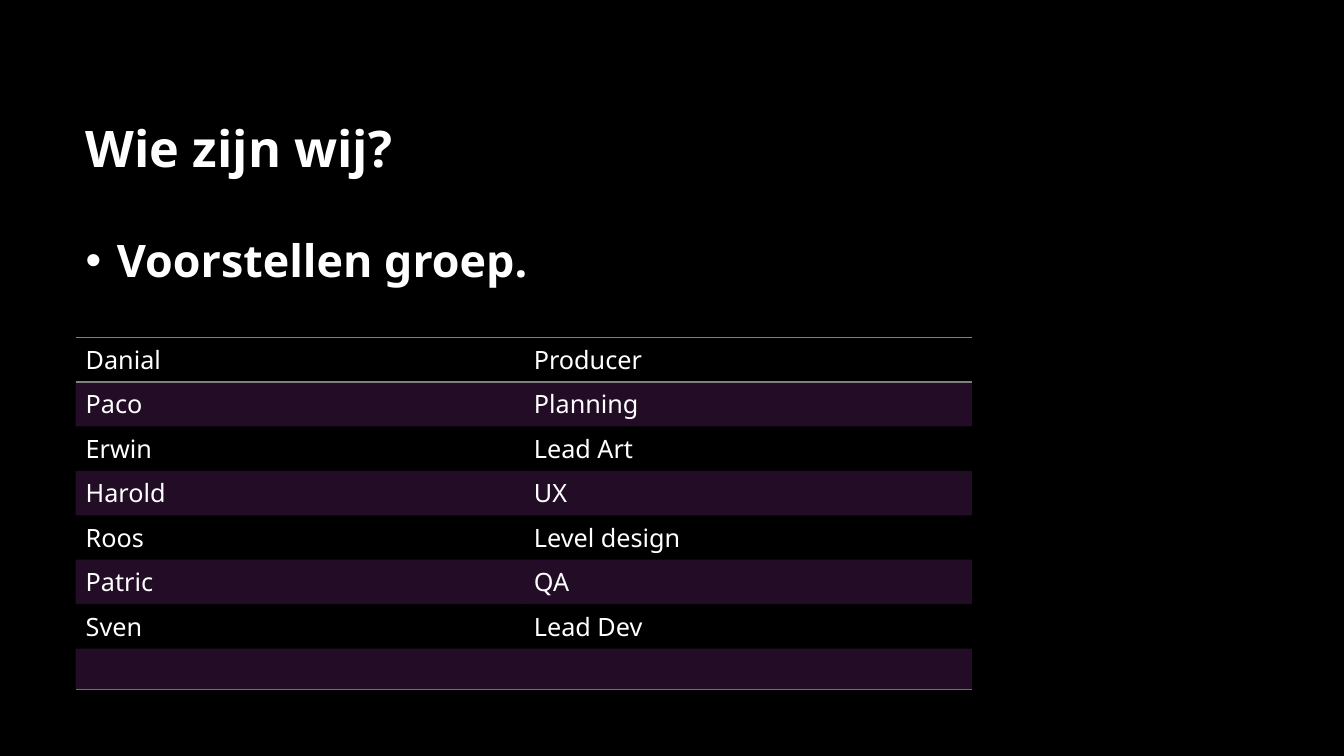
import dataclasses
import typing

import lxml.etree
import pptx
import pptx.dml.color
import pptx.enum.text
import pptx.oxml.ns
import pptx.util

Inches = pptx.util.Inches
Pt = pptx.util.Pt
qn = pptx.oxml.ns.qn


@dataclasses.dataclass(frozen=True)
class Theme:
    font: str = "Noto Sans"
    back: str = "000000"
    ink: str = "FFFFFF"
    band: str = "AC3EC1"
    rule: str = "7F7F7F"
    alpha: int = 20
    title: int = 36
    list: int = 32
    cell: int = 18


@dataclasses.dataclass(frozen=True)
class Member:
    name: str
    role: str


theme = Theme()
team = [
    Member("Danial", "Producer"),
    Member("Paco", "Planning"),
    Member("Erwin", "Lead Art"),
    Member("Harold", "UX"),
    Member("Roos", "Level design"),
    Member("Patric", "QA"),
    Member("Sven", "Lead Dev"),
    Member("", ""),
]


def rgb(code: str) -> pptx.dml.color.RGBColor:
    return pptx.dml.color.RGBColor.from_string(code)


def write(frame: typing.Any, text: str, *, size: int, bold: bool = False,
          after: int = 0) -> typing.Any:
    """Set one left-aligned paragraph in a text frame."""
    para = frame.paragraphs[0]
    para.alignment = pptx.enum.text.PP_ALIGN.LEFT
    para.space_before, para.space_after = Pt(0), Pt(after)
    para.line_spacing = 1.0
    if text:
        run = para.add_run()
        run.text = text
        run.font.name, run.font.size, run.font.bold = theme.font, Pt(size), bold
        run.font.color.rgb = rgb(theme.ink)
    return para


def place(holder: typing.Any, top: float, height: float) -> typing.Any:
    """Move a placeholder and centre its text vertically."""
    holder.left, holder.top = Inches(0.75), Inches(top)
    holder.width, holder.height = Inches(11.08), Inches(height)
    frame = holder.text_frame
    frame.word_wrap = True
    frame.auto_size = pptx.enum.text.MSO_AUTO_SIZE.NONE
    frame.vertical_anchor = pptx.enum.text.MSO_ANCHOR.MIDDLE
    return frame


def bullet(para: typing.Any) -> None:
    props = para._p.get_or_add_pPr()
    props.set("marL", str(Inches(0.31)))
    props.set("indent", str(-Inches(0.31)))
    color = lxml.etree.SubElement(props, qn("a:buClr"))
    lxml.etree.SubElement(color, qn("a:srgbClr"), val=theme.ink)
    lxml.etree.SubElement(props, qn("a:buFont"), typeface="Arial")
    lxml.etree.SubElement(props, qn("a:buChar"), char="•")


def paint(cell: typing.Any, band: bool) -> None:
    """Fill a cell with the translucent band colour, or leave it clear."""
    if not band:
        cell.fill.background()
        return
    cell.fill.solid()
    cell.fill.fore_color.rgb = rgb(theme.band)
    color = cell._tc.tcPr.find(".//" + qn("a:srgbClr"))
    lxml.etree.SubElement(color, qn("a:alpha"), val=str(theme.alpha * 1000))


def edge(cell: typing.Any, top: str, bottom: str) -> None:
    """Draw the top and bottom edges; an empty colour means no line."""
    props = cell._tc.get_or_add_tcPr()
    sides = [("a:lnL", ""), ("a:lnR", ""), ("a:lnT", top), ("a:lnB", bottom)]
    for spot, (tag, code) in enumerate(sides):
        line = lxml.etree.Element(qn(tag), w=str(Pt(1)))
        props.insert(spot, line)
        if code:
            fill = lxml.etree.SubElement(line, qn("a:solidFill"))
            lxml.etree.SubElement(fill, qn("a:srgbClr"), val=code)
        else:
            lxml.etree.SubElement(line, qn("a:noFill"))


def roster(slide: typing.Any) -> None:
    """Table of members and roles, with every second row banded."""
    table = slide.shapes.add_table(
        len(team), 2, Inches(0.75), Inches(3.35), Inches(8.89),
        Inches(3.24)).table
    table.first_row = table.horz_banding = False
    rules = {0: theme.rule, 1: theme.rule, len(team): theme.band}
    for row, member in enumerate(team):
        for col, text in enumerate((member.name, member.role)):
            cell = table.cell(row, col)
            write(cell.text_frame, text, size=theme.cell)
            paint(cell, row % 2 == 1)
            edge(cell, rules.get(row, ""), rules.get(row + 1, ""))


# Slide and background
deck = pptx.Presentation()
deck.slide_width, deck.slide_height = Inches(13.33), Inches(7.5)
slide = deck.slides.add_slide(deck.slide_layouts[1])
slide.background.fill.solid()
slide.background.fill.fore_color.rgb = rgb(theme.back)

# Title and list
head = place(slide.shapes.title, 0.67, 1.59)
write(head, "Wie zijn wij?", size=theme.title, bold=True)
body = place(slide.placeholders[1], 0.58, 3.99)
bullet(write(body, "Voorstellen groep.", size=theme.list, bold=True, after=10))

# Team table
roster(slide)

deck.save("out.pptx")
